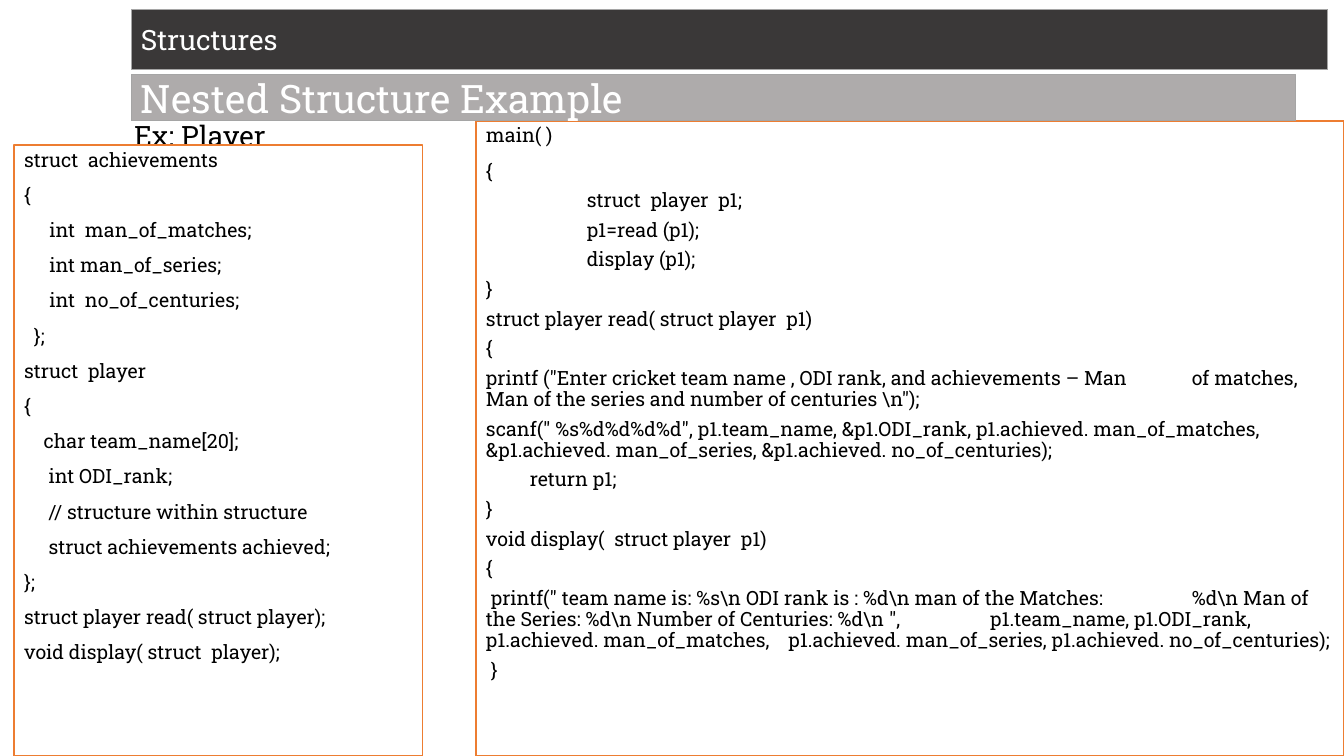
from lxml.etree import SubElement
from pptx import Presentation
from pptx.dml.color import RGBColor
from pptx.enum.shapes import MSO_SHAPE as Shape
from pptx.enum.text import MSO_ANCHOR as Anchor, MSO_AUTO_SIZE as AutoSize, PP_ALIGN as Align
from pptx.oxml.ns import qn
from pptx.util import Inches, Pt

COLORS = {
    "text": "000000", "light_text": "FFFFFF", "panel": "FFFFFF", "panel_line": "ED7D31",
    "dark_bar": "3A3838", "gray_bar": "AEABAB", "bar_line": "A5A5A5",
}
TWO_CONTENT_LAYOUT = 3

STRUCTURE_CODE = [
    "struct  achievements",
    "{",
    "    \tint  man_of_matches;",
    "    \tint man_of_series;",
    "\tint  no_of_centuries;",
    "  };",
    "struct  player",
    "{",
    "    char team_name[20];",
    "     int ODI_rank;",
    "     // structure within structure",
    "     struct achievements achieved;",
    "};",
    "struct player read( struct player);",
    "void display( struct  player);",
]
MAIN_CODE = [
    "main( )",
    "{",
    "\tstruct  player  p1;",
    "    \tp1=read (p1);",
    "    \tdisplay (p1);",
    "}",
    "struct player read( struct player  p1)",
    "{",
    'printf ("Enter cricket team name , ODI rank, and achievements – Man \tof matches, '
    'Man of the series and number of centuries \\n");',
    'scanf(" %s%d%d%d%d", p1.team_name, &p1.ODI_rank, p1.achieved. man_of_matches,  '
    "&p1.achieved. man_of_series, &p1.achieved. no_of_centuries);",
    "         return p1;",
    "}",
    "void display(  struct player  p1)",
    "{",
    ' printf(" team name is: %s\\n ODI rank is : %d\\n man of the Matches: \t%d\\n '
    'Man of the Series: %d\\n Number of Centuries: %d\\n ", \tp1.team_name, p1.ODI_rank, '
    "p1.achieved. man_of_matches,  \tp1.achieved. man_of_series, p1.achieved. no_of_centuries);",
    " }",
]


class SlideBuilder:
    font = "Roboto Slab"

    def __init__(self, slide):
        self.slide = slide

    def place(self, box, left, top, width, height):
        box.left, box.top = Inches(left), Inches(top)
        box.width, box.height = Inches(width), Inches(height)

    def paint(self, box, fill, line, weight):
        box.fill.solid()
        box.fill.fore_color.rgb = RGBColor.from_string(COLORS[fill])
        box.line.color.rgb = RGBColor.from_string(COLORS[line])
        box.line.width = Pt(weight)

    def style(self, para, size, color):
        para.alignment = Align.LEFT
        for span in para.runs:
            span.font.name = self.font
            span.font.size = Pt(size)
            span.font.color.rgb = RGBColor.from_string(COLORS[color])

    def title(self, text, bounds, bottom_inset):
        box = self.slide.shapes.title
        self.place(box, *bounds)
        frame = box.text_frame
        frame.text = text
        frame.auto_size = AutoSize.NONE
        frame.vertical_anchor = Anchor.BOTTOM
        frame.margin_bottom = Inches(bottom_inset)
        frame.paragraphs[0].line_spacing = 0.9
        self.style(frame.paragraphs[0], 20, "text")

    def code_panel(self, index, lines, bounds, hanging_count):
        """Fill a body placeholder; the first hanging_count lines get a hanging indent."""
        box = self.slide.placeholders[index]
        self.place(box, *bounds)
        self.paint(box, "panel", "panel_line", 1)
        frame = box.text_frame
        frame.auto_size = AutoSize.NONE
        frame.vertical_anchor = Anchor.TOP
        frame.text = "\n".join(lines)
        for number, para in enumerate(frame.paragraphs):
            hanging = number < hanging_count
            indent = Inches(0.25) if hanging else 0
            properties = para._p.get_or_add_pPr()
            properties.set("marL", str(indent))
            properties.set("indent", str(-indent))
            properties.set("defTabSz", str(Inches(1)))
            SubElement(properties, qn("a:buNone"))
            para.line_spacing = 0.9
            para.space_before = Pt(0 if number == 0 else 10 if hanging else 6)
            self.style(para, 14, "text")

    def bar(self, text, bounds, fill, size):
        box = self.slide.shapes.add_shape(Shape.RECTANGLE, *map(Inches, bounds))
        box.shadow.inherit = False
        self.paint(box, fill, "bar_line", 0.75)
        frame = box.text_frame
        frame.text = text
        frame.word_wrap = True
        frame.vertical_anchor = Anchor.MIDDLE
        self.style(frame.paragraphs[0], size, "light_text")


def main():
    deck = Presentation()
    deck.slide_width, deck.slide_height = Inches(13.33), Inches(7.5)
    page = SlideBuilder(deck.slides.add_slide(deck.slide_layouts[TWO_CONTENT_LAYOUT]))
    page.title("Ex: Player", (1.23, 0.24, 10.36, 1.59), 0.32)
    page.code_panel(1, STRUCTURE_CODE, (0.14, 1.44, 4.05, 6.06), len(STRUCTURE_CODE))
    page.code_panel(2, MAIN_CODE, (4.72, 1.2, 8.61, 6.3), 2)
    page.bar("Structures", (1.3, 0.09, 11.87, 0.6), "dark_bar", 20)
    page.bar("Nested Structure Example", (1.3, 0.74, 11.55, 0.46), "gray_bar", 28)
    deck.save("out.pptx")


if __name__ == "__main__":
    main()
